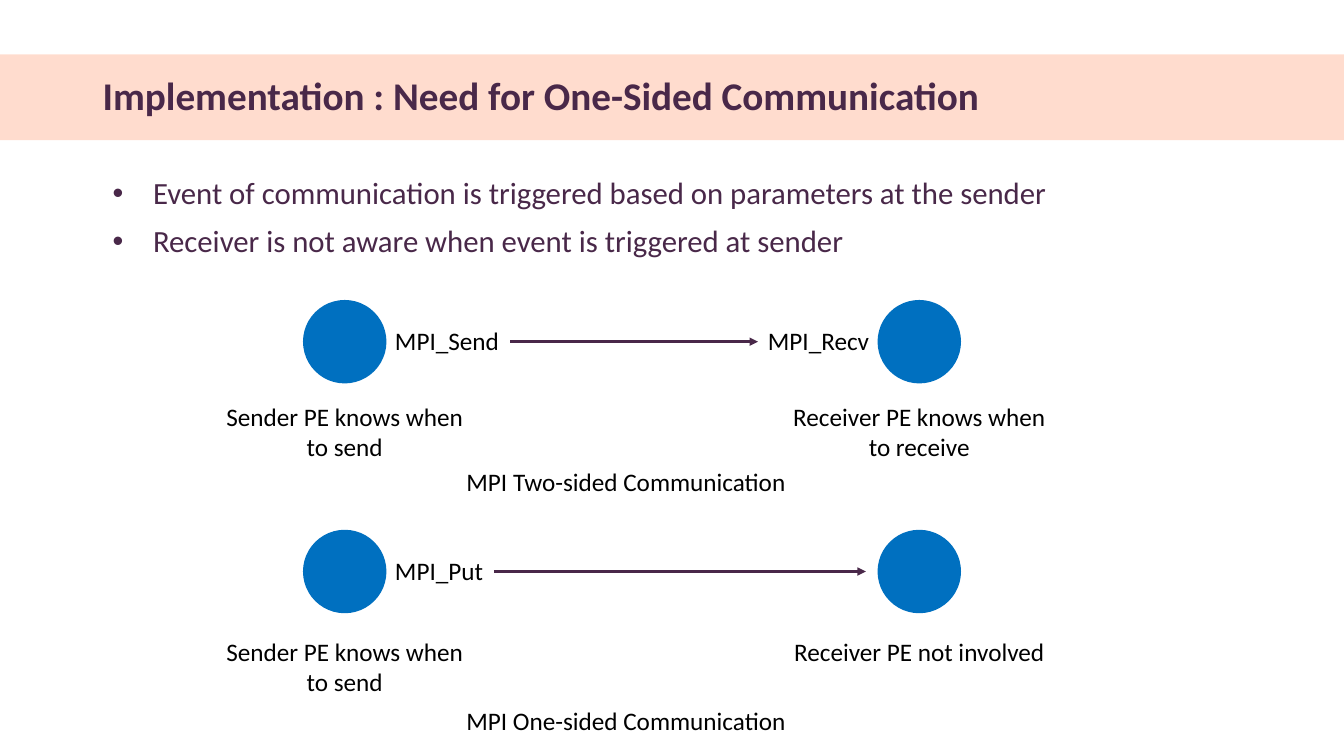
from dataclasses import dataclass

import pptx
import pptx.dml.color
import pptx.enum.shapes
import pptx.enum.text
import pptx.oxml
import pptx.oxml.ns
import pptx.util
from pptx.enum.text import MSO_ANCHOR, PP_ALIGN


@dataclass(frozen=True)
class Theme:
    font: str = "Calibri"
    ink: str = "492849"
    label: str = "000000"
    node: str = "0070C0"
    band: str = "FF9164"
    band_opacity: int = 31
    title_size: int = 28
    body_size: int = 22
    label_size: int = 18
    line_width: int = 2


@dataclass(frozen=True)
class Box:
    """An area in grid columns and rows."""
    left: float
    top: float
    width: float
    height: float


@dataclass(frozen=True)
class Scenario:
    """One sender and receiver pair; vertical positions are grid rows."""
    node_top: float
    caption_top: float
    name_top: float
    send_call: str
    receive_call: str
    sender_caption: str
    receiver_caption: str
    name: str
    arrow_start: float
    arrow_end: float


THEME = Theme()
CELL = pptx.util.Inches(0.1)
COLUMNS, ROWS = 133.33, 75
MARGIN, CONTENT_WIDTH = 9.2, 115
NODE_SIZE = 8
SENDER_LEFT, RECEIVER_LEFT = 30.2, 87.2
LABEL_HEIGHT = 4

BULLETS = (
    "Event of communication is triggered based on parameters at the sender",
    "Receiver is not aware when event is triggered at sender",
)
SCENARIOS = (
    Scenario(29.9, 39.3, 45.8, "MPI_Send", "MPI_Recv", "Sender PE knows when to send",
             "Receiver PE knows when to receive", "MPI Two-sided Communication", 50.6, 75.2),
    Scenario(52.7, 62.6, 69.5, "MPI_Put", "", "Sender PE knows when to send",
             "Receiver PE not involved", "MPI One-sided Communication", 49, 85.9),
)


def grid(cells: float) -> int:
    return round(cells * CELL)


def color(value: str) -> pptx.dml.color.RGBColor:
    return pptx.dml.color.RGBColor.from_string(value)


def add_child(parent, tag: str, **attributes: str):
    child = pptx.oxml.ns.qn(tag)
    element = parent.makeelement(child, attributes)
    parent.append(element)
    return element


def add_filled_shape(slide, kind, box: Box, fill: str):
    shape = slide.shapes.add_shape(
        kind, grid(box.left), grid(box.top), grid(box.width), grid(box.height))
    shape.shadow.inherit = False
    shape.fill.solid()
    shape.fill.fore_color.rgb = color(fill)
    return shape


def add_band(slide) -> None:
    band = add_filled_shape(slide, pptx.enum.shapes.MSO_SHAPE.RECTANGLE,
                            Box(0, 5.4, COLUMNS, 8.5), THEME.band)
    band.line.fill.background()
    fill_color = band.fill._xPr.find(".//" + pptx.oxml.ns.qn("a:srgbClr"))
    add_child(fill_color, "a:alpha", val=str(THEME.band_opacity * 1000))


def add_node(slide, left: float, top: float) -> None:
    node = add_filled_shape(slide, pptx.enum.shapes.MSO_SHAPE.OVAL,
                            Box(left, top, NODE_SIZE, NODE_SIZE), THEME.node)
    node.line.color.rgb = color(THEME.node)
    node.line.width = pptx.util.Pt(THEME.line_width)


def add_text(slide, box: Box, lines: tuple[str, ...], size: int, ink: str,
             bold: bool = False, align=PP_ALIGN.LEFT, anchor=MSO_ANCHOR.TOP,
             spacing: float = 1, bulleted: bool = False) -> None:
    frame = slide.shapes.add_textbox(
        grid(box.left), grid(box.top), grid(box.width), grid(box.height)).text_frame
    frame.word_wrap = True
    frame.vertical_anchor = anchor
    frame.text = "\n".join(lines)
    for index, paragraph in enumerate(frame.paragraphs):
        paragraph.alignment = align
        paragraph.line_spacing = spacing
        if bulleted:
            paragraph.space_before = pptx.util.Pt(10 if index else 0)
            add_bullet(paragraph)
        paragraph.font.name = THEME.font
        paragraph.font.size = pptx.util.Pt(size)
        paragraph.font.bold = bold
        paragraph.font.color.rgb = color(ink)


def add_bullet(paragraph) -> None:
    properties = paragraph._p.get_or_add_pPr()
    properties.set("marL", str(grid(5)))
    properties.set("indent", str(grid(-4)))
    bullet_color = add_child(properties, "a:buClr")
    add_child(bullet_color, "a:srgbClr", val=THEME.ink)
    add_child(properties, "a:buFont", typeface="Arial")
    add_child(properties, "a:buChar", char="•")


def add_label(slide, box: Box, text: str, align=PP_ALIGN.CENTER) -> None:
    add_text(slide, box, (text,), THEME.label_size, THEME.label, align=align)


def add_arrow(slide, start: float, end: float, row: float) -> None:
    arrow = slide.shapes.add_connector(
        pptx.enum.shapes.MSO_CONNECTOR.STRAIGHT,
        grid(start), grid(row), grid(end), grid(row))
    arrow.line.color.rgb = color(THEME.ink)
    arrow.line.width = pptx.util.Pt(THEME.line_width)
    add_child(arrow.line._get_or_add_ln(), "a:tailEnd", type="triangle")
    add_child(arrow._element.spPr, "a:effectLst")


def add_scenario(slide, scenario: Scenario) -> None:
    for left in (SENDER_LEFT, RECEIVER_LEFT):
        add_node(slide, left, scenario.node_top)
    middle = scenario.node_top + NODE_SIZE / 2
    call_top = middle - LABEL_HEIGHT / 2 - 0.1
    add_label(slide, Box(SENDER_LEFT + NODE_SIZE, call_top, 14.5, LABEL_HEIGHT),
              scenario.send_call, PP_ALIGN.LEFT)
    if scenario.receive_call:
        add_label(slide, Box(75.2, call_top, 13.6, LABEL_HEIGHT),
                  scenario.receive_call, PP_ALIGN.LEFT)
    add_arrow(slide, scenario.arrow_start, scenario.arrow_end, middle)
    captions = ((SENDER_LEFT, 26.3, scenario.sender_caption),
                (RECEIVER_LEFT, 28.6, scenario.receiver_caption))
    for node_left, width, caption in captions:
        left = node_left + (NODE_SIZE - width) / 2
        add_label(slide, Box(left, scenario.caption_top, width, 7.1), caption)
    add_label(slide, Box(44.7, scenario.name_top, 34.8, LABEL_HEIGHT), scenario.name)


def main() -> None:
    presentation = pptx.Presentation()
    presentation.slide_width = grid(COLUMNS)
    presentation.slide_height = grid(ROWS)
    slide = presentation.slides.add_slide(presentation.slide_layouts[6])
    add_band(slide)
    add_text(slide, Box(MARGIN, 7.1, CONTENT_WIDTH, 5.2),
             ("Implementation : Need for One-Sided Communication",), THEME.title_size,
             THEME.ink, bold=True, anchor=MSO_ANCHOR.MIDDLE, spacing=0.9)
    add_text(slide, Box(MARGIN, 17.2, CONTENT_WIDTH, 10), BULLETS, THEME.body_size,
             THEME.ink, spacing=0.9, bulleted=True)
    for scenario in SCENARIOS:
        add_scenario(slide, scenario)
    presentation.save("out.pptx")


if __name__ == "__main__":
    main()
